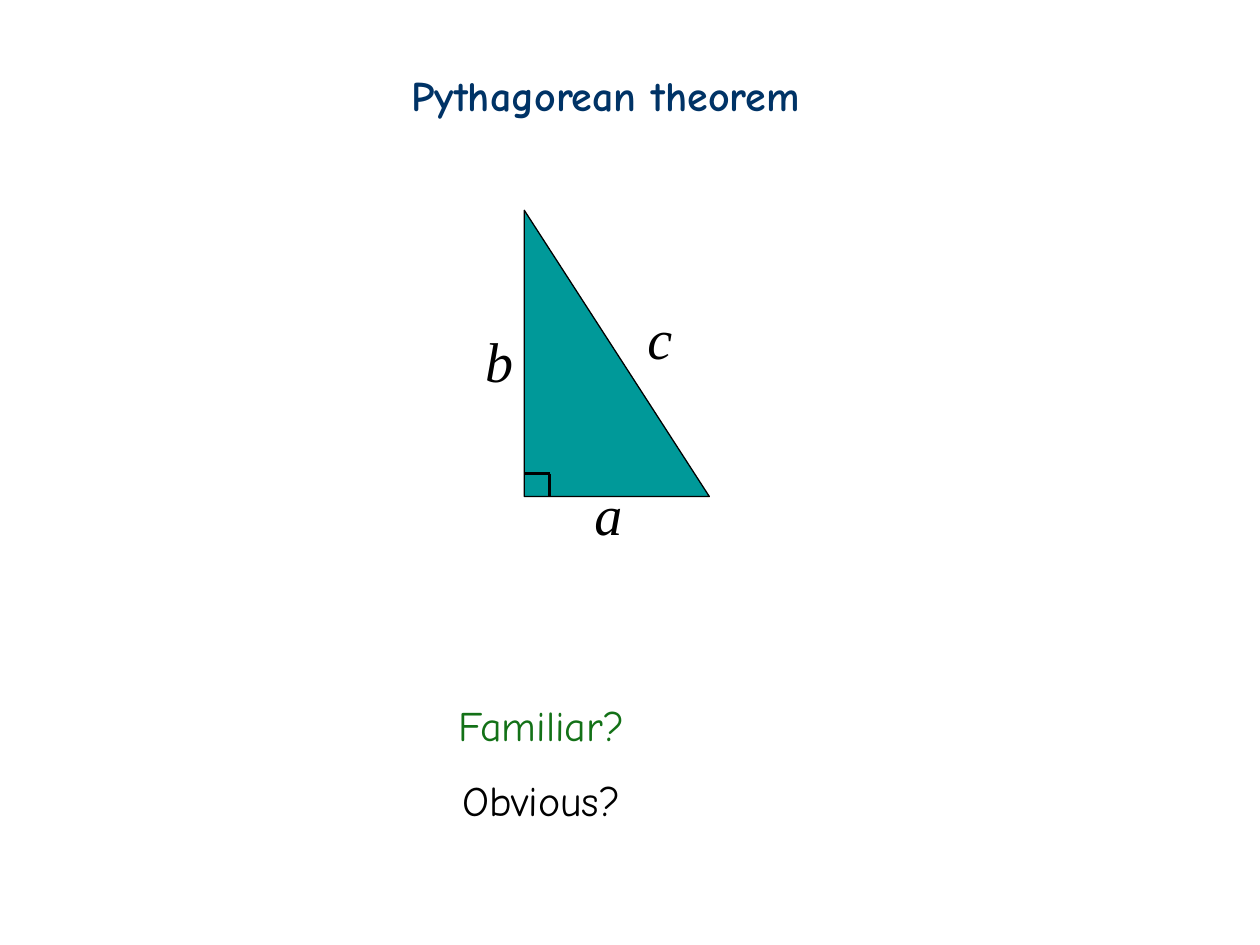
from lxml import etree
from pptx import Presentation
from pptx.dml.color import RGBColor
from pptx.enum.shapes import MSO_CONNECTOR, MSO_SHAPE
from pptx.enum.text import MSO_AUTO_SIZE, PP_ALIGN
from pptx.oxml.ns import qn
from pptx.util import Cm, Pt

STRAIGHT = MSO_CONNECTOR.STRAIGHT
RIGHT_TRIANGLE = MSO_SHAPE.RIGHT_TRIANGLE
FIT_SHAPE = MSO_AUTO_SIZE.SHAPE_TO_FIT_TEXT
LEFT, CENTER = PP_ALIGN.LEFT, PP_ALIGN.CENTER

COLORS = {"navy": "003366", "green": "137117", "teal": "009999", "black": "000000"}
HEADING = {"name": "Comic Neue", "size": Pt(24), "bold": True}
QUESTION = {"name": "Comic Neue", "size": Pt(24)}
SIDE = {"name": "Times New Roman", "size": Pt(32), "italic": True}


def color(name):
    return RGBColor.from_string(COLORS[name])


def add_text(shapes, box, lines, font_format, align, wrap=False):
    frame = shapes.add_textbox(*map(Cm, box)).text_frame
    frame.word_wrap = wrap
    frame.auto_size = FIT_SHAPE
    for index, (text, tint, spacing) in enumerate(lines):
        paragraph = frame.paragraphs[0] if index == 0 else frame.add_paragraph()
        paragraph.alignment = align
        paragraph.line_spacing = spacing
        run = paragraph.add_run()
        run.text = text
        for attribute, value in font_format.items():
            setattr(run.font, attribute, value)
        run.font.color.rgb = color(tint)


prs = Presentation()
prs.slide_width, prs.slide_height = Cm(25.4), Cm(19.05)
slide = prs.slides.add_slide(prs.slide_layouts[6])

questions = [("Familiar?", "green", 1.0), ("Obvious?", "black", 1.5)]
add_text(slide.shapes, (5.51, 13.97, 10.8, 2.79), questions, QUESTION, CENTER, True)

figure = slide.shapes.add_group_shape().shapes
corner_x, corner_y = 10.57, 10.01
base, height = 3.73, 5.77
mark_width, mark_height = 0.51, 0.46

for letter, left, top in [("c", 12.78, 5.99), ("b", 9.53, 6.45)]:
    add_text(figure, (left, top, 1.04, 1.6), [(letter, "black", 1.0)], SIDE, CENTER)

triangle = figure.add_shape(
    RIGHT_TRIANGLE, Cm(corner_x), Cm(corner_y - height), Cm(base), Cm(height)
)
triangle.shadow.inherit = False
triangle.fill.solid()
triangle.fill.fore_color.rgb = color("teal")
triangle.line.color.rgb = color("black")
triangle.line.width = Pt(0.75)

add_text(figure, (11.73, 9.55, 1.07, 1.6), [("a", "black", 1.0)], SIDE, CENTER)

mark_points = [
    (corner_x, corner_y - mark_height),
    (corner_x + mark_width, corner_y - mark_height),
    (corner_x + mark_width, corner_y),
]
for start, end in zip(mark_points, mark_points[1:]):
    mark = figure.add_connector(STRAIGHT, *map(Cm, start + end))
    mark.line.color.rgb = color("black")
    mark.line.width = Pt(1.5)
    etree.SubElement(mark._element.spPr, qn("a:effectLst"))

heading = [("Pythagorean theorem", "navy", 1.0)]
add_text(slide.shapes, (8.05, 1.27, 9.17, 1.27), heading, HEADING, LEFT)

prs.save("out.pptx")
